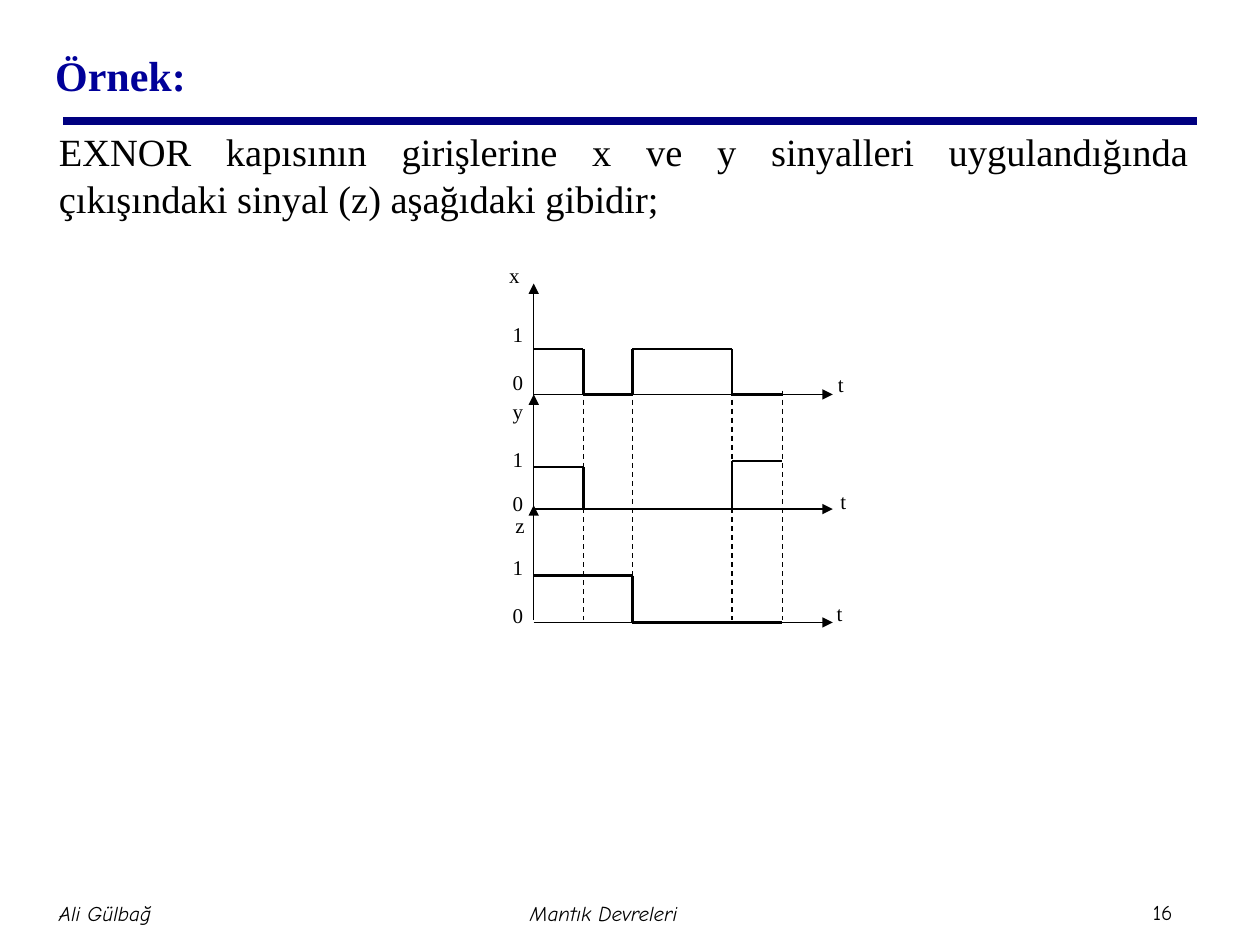
from dataclasses import dataclass

from lxml import etree
from pptx import Presentation
from pptx.dml.color import RGBColor
from pptx.enum.dml import MSO_LINE
from pptx.enum.shapes import MSO_CONNECTOR
from pptx.enum.text import MSO_ANCHOR, PP_ALIGN
from pptx.oxml.ns import qn
from pptx.util import Pt

STRAIGHT = MSO_CONNECTOR.STRAIGHT
DASH = MSO_LINE.DASH
TOP, MIDDLE = MSO_ANCHOR.TOP, MSO_ANCHOR.MIDDLE
LEFT, CENTER, JUSTIFY = PP_ALIGN.LEFT, PP_ALIGN.CENTER, PP_ALIGN.JUSTIFY


@dataclass(frozen=True)
class Theme:
    ink: RGBColor = RGBColor(0, 0, 0)
    title: RGBColor = RGBColor(0, 0, 0x99)
    rule: RGBColor = RGBColor(0, 0, 0x80)
    serif: str = "Times New Roman"
    hand: str = "Comic Neue"
    head: float = 24
    body: float = 22
    small: float = 12
    thin: float = 0.75
    bold: float = 1.25
    thick: float = 4.5


class Page:
    def __init__(self, slide, theme):
        self.slide = slide
        self.theme = theme

    def text(self, words, x, y, w, h, size=None, font=None, color=None,
             align=LEFT, anchor=TOP, inset=(0, 0), bold=False, italic=False,
             before=0):
        frame = self.slide.shapes.add_textbox(
            Pt(x), Pt(y), Pt(w), Pt(h)).text_frame
        frame.word_wrap = True
        frame.vertical_anchor = anchor
        frame.margin_left = frame.margin_right = Pt(inset[0])
        frame.margin_top = frame.margin_bottom = Pt(inset[1])
        frame.text = words
        para = frame.paragraphs[0]
        para.alignment = align
        para.space_before = Pt(before)
        style = para.runs[0].font
        style.name = font or self.theme.serif
        style.size = Pt(size or self.theme.small)
        style.color.rgb = color or self.theme.ink
        style.bold, style.italic = bold, italic

    def line(self, x1, y1, x2, y2, width=None, color=None, dash=None,
             arrow=False):
        link = self.slide.shapes.add_connector(
            STRAIGHT, Pt(x1), Pt(y1), Pt(x2), Pt(y2))
        link.line.width = Pt(width or self.theme.thin)
        link.line.color.rgb = color or self.theme.ink
        if dash:
            link.line.dash_style = dash
        if arrow:
            etree.SubElement(link.line._get_or_add_ln(), qn("a:tailEnd"),
                             type="triangle")
        etree.SubElement(link._element.spPr, qn("a:effectLst"))

    def wave(self, times, base, levels):
        """Draw one level per time span and an edge wherever it changes."""
        bold = self.theme.bold
        last = levels[0]
        for start, end, level in zip(times, times[1:], levels):
            if level != last:
                self.line(start, base - last, start, base - level, bold)
            self.line(start, base - level, end, base - level, bold)
            last = level

    def label(self, words, x, y):
        self.text(words, x, y, 14.4, 26)

    def footer(self, words, x, y, w, h, align=CENTER, italic=True):
        self.text(words, x, y, w, h, font=self.theme.hand, align=align,
                  anchor=MIDDLE, inset=(3.6, 3.6), italic=italic)


def main():
    deck = Presentation()
    deck.slide_width, deck.slide_height = Pt(720), Pt(540)
    theme = Theme()
    page = Page(deck.slides.add_slide(deck.slide_layouts[6]), theme)

    # Heading and statement
    page.line(36, 69.3, 684, 69.3, theme.thick, theme.rule)
    page.text("Örnek:", 24.5, 11.5, 612, 62, theme.head, color=theme.title,
              anchor=MIDDLE, inset=(7.2, 3.6), bold=True)
    page.text("EXNOR kapısının girişlerine x ve y sinyalleri uygulandığında "
              "çıkışındaki sinyal (z) aşağıdaki gibidir;",
              26.6, 69.8, 659.5, 399.6, theme.body, align=JUSTIFY,
              inset=(7.2, 3.6), before=4.4)

    # Footer
    page.footer("Ali Gülbağ", -69, 504, 258, 36)
    page.footer("Mantık Devreleri ", 218, 504, 258, 36)
    page.footer("16", 655.2, 510.5, 34, 21.6, LEFT, False)

    # Time axes, levels and signals
    times = (305, 333.4, 361.4, 418.3, 447)
    left, right = times[0], 475.9
    bases = (225.4, 290.9, 355.7)
    for base, levels in zip(bases, ((26, 0, 26, 0), (23.8, 0, 0, 27.4),
                                    (26.8, 26.8, 0, 0))):
        page.line(left, base, right, base, arrow=True)
        page.wave(times, base, levels)

    # Value axes
    for start, tip in ((290.2, 162), (251.3, 225.4), (354.2, 288.7)):
        page.line(left, start, left, tip, arrow=True)

    # Dashed guides at each change
    for time in times[1:]:
        page.line(time, 223.2, time, 354.2, dash=DASH)

    # Labels
    for name, x, y in (("x", 290.9, 149.8), ("y", 293, 227.5),
                       ("z", 294.5, 293)):
        page.label(name, x, y)
    for one, zero in ((183.6, 211), (254.9, 280.1), (316.8, 344.2)):
        page.label("1", 293, one)
        page.label("0", 293, zero)
    for x, y in ((478.8, 212.4), (480.2, 279.4), (478.1, 343.4)):
        page.label("t", x, y)

    deck.save("out.pptx")


if __name__ == "__main__":
    main()
